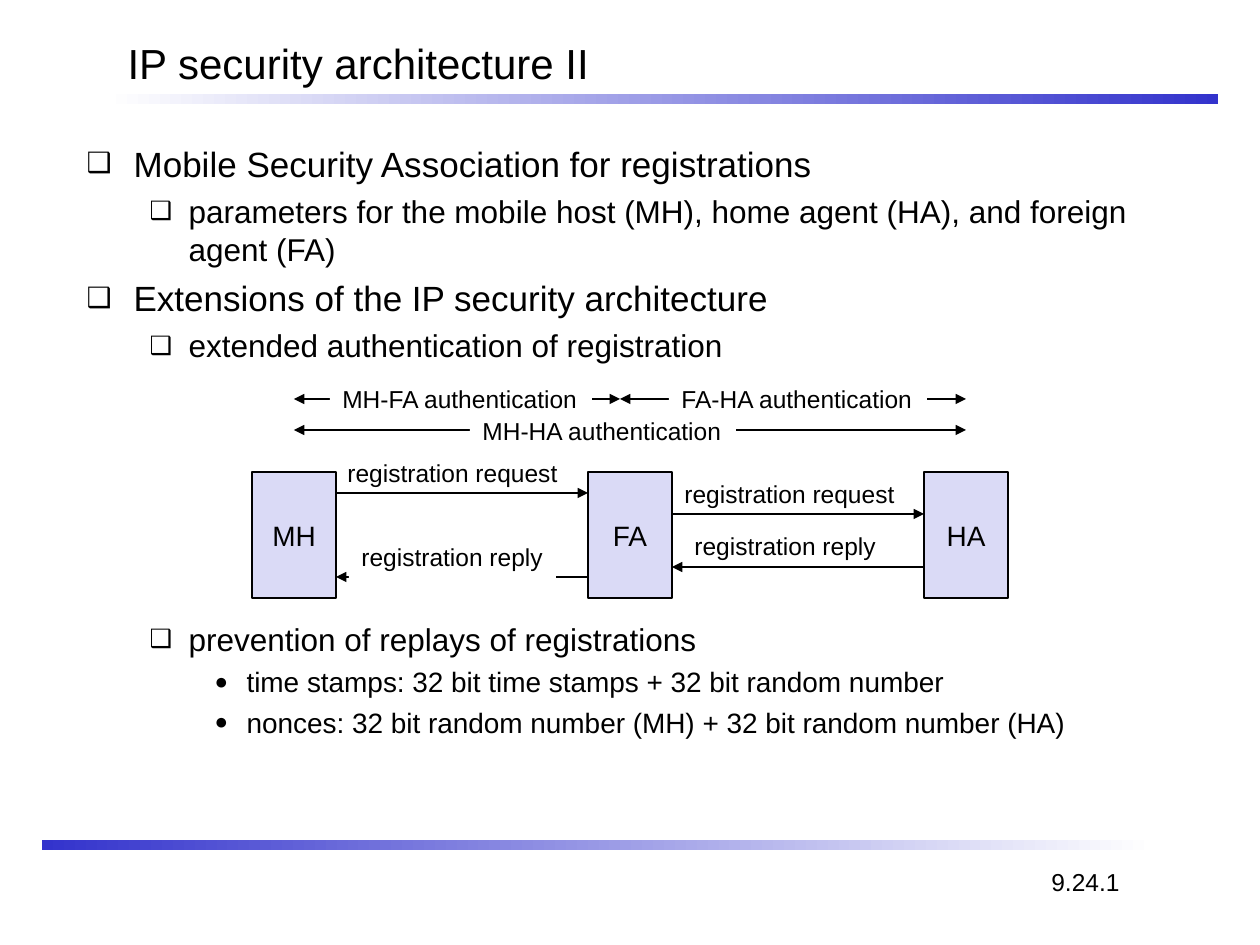
from lxml import etree
from pptx import Presentation
from pptx.dml.color import RGBColor
from pptx.enum.shapes import MSO_CONNECTOR, MSO_SHAPE
from pptx.enum.text import MSO_ANCHOR, MSO_AUTO_SIZE, PP_ALIGN
from pptx.oxml.ns import qn
from pptx.util import Pt

RECT = MSO_SHAPE.RECTANGLE
STRAIGHT = MSO_CONNECTOR.STRAIGHT
MIDDLE = MSO_ANCHOR.MIDDLE
TOP = MSO_ANCHOR.TOP
LEFT = PP_ALIGN.LEFT
CENTER = PP_ALIGN.CENTER
GROW = MSO_AUTO_SIZE.SHAPE_TO_FIT_TEXT
FIXED = MSO_AUTO_SIZE.NONE

SCALE = 914400 / 126
BLACK, WHITE, BLUE, PALE = "000000", "FFFFFF", "3333CC", "DADAF6"

LEVELS = [(47, 47, "❑", 20, 5), (102, 39, "❑", 18, 4.5), (160, 32, "●", 16, 4)]
ITEMS = [
    (0, "Mobile Security Association for registrations", None),
    (1, "parameters for the mobile host (MH), home agent (HA), and foreign agent (FA)", None),
    (0, "Extensions of the IP security architecture", None),
    (1, "extended authentication of registration", None),
    (1, "prevention of replays of registrations", 146),
    (2, "time stamps: 32 bit time stamps + 32 bit random number", None),
    (2, "nonces: 32 bit random number (MH) + 32 bit random number (HA)", None),
]
HOPS = [
    (682, 525, 207, "registration reply"),
    (672, 473, 236, "registration request"),
    (335, 452, 236, "registration request"),
    (349, 536, 207, "registration reply"),
]
SPANS = [
    (470, 410, 266, "MH-HA authentication"),
    (330, 378, 262, "MH-FA authentication"),
    (669, 378, 258, "FA-HA authentication"),
]


def px(num):
    return round(num * SCALE)


def color(text):
    return RGBColor.from_string(text)


def place(shape, x, y, w, h):
    shape.left, shape.top, shape.width, shape.height = px(x), px(y), px(w), px(h)


def style(para, size):
    for run in para.runs:
        run.font.name = "Arial"
        run.font.size = Pt(size)
        run.font.color.rgb = color(BLACK)


def add_form(slide, x, y, w, h, fill=None):
    form = slide.shapes.add_shape(RECT, px(x), px(y), px(w), px(h))
    form.shadow.inherit = False
    form.line.fill.background()
    if fill:
        form.fill.solid()
        form.fill.fore_color.rgb = color(fill)
    return form


def add_bar(slide, x, y, start, end):
    bar = add_form(slide, x, y, 1113, 10)
    bar.fill.gradient()
    bar.fill.gradient_angle = 0
    for stop, tint in zip(bar.fill.gradient_stops, (start, end)):
        stop.color.rgb = color(tint)


def set_text(shape, text, size, align, anchor):
    frame = shape.text_frame
    frame.text = text
    frame.word_wrap = False
    frame.vertical_anchor = anchor
    frame.paragraphs[0].alignment = align
    style(frame.paragraphs[0], size)


def add_label(slide, x, y, w, text):
    label = add_form(slide, x, y, w, 42, WHITE)
    set_text(label, text, 14, LEFT, TOP)
    label.text_frame.auto_size = GROW


def add_node(slide, x, text):
    node = add_form(slide, x, 472, 84, 126, PALE)
    node.line.color.rgb = color(BLACK)
    node.line.width = Pt(0.75)
    set_text(node, text, 16, CENTER, MIDDLE)


def add_arrow(slide, start, end, y, both=False):
    arrow = slide.shapes.add_connector(STRAIGHT, px(start), px(y), px(end), px(y))
    arrow.line.color.rgb = color(BLACK)
    arrow.line.width = Pt(0.75)
    line = arrow.line._get_or_add_ln()
    for tag in ("a:headEnd", "a:tailEnd") if both else ("a:tailEnd",):
        etree.SubElement(line, qn(tag), type="triangle")
    etree.SubElement(arrow._element.spPr, qn("a:effectLst"))


def add_bullet(para, margin, hang, char):
    props = para._p.get_or_add_pPr()
    props.set("marL", str(px(margin)))
    props.set("indent", str(-px(hang)))
    tint = etree.SubElement(props, qn("a:buClr"))
    etree.SubElement(tint, qn("a:srgbClr"), val=BLACK)
    etree.SubElement(props, qn("a:buSzPct"), val="80000")
    etree.SubElement(props, qn("a:buChar"), char=char)


def fill_title(slide):
    title = slide.shapes.title
    place(title, 115, 31, 1071, 63)
    set_text(title, "IP security architecture II", 24, LEFT, MIDDLE)
    title.text_frame.auto_size = FIXED


def fill_body(slide):
    body = slide.placeholders[1]
    place(body, 74, 136, 1071, 703)
    frame = body.text_frame
    frame.auto_size = FIXED
    for num, (level, text, gap) in enumerate(ITEMS):
        para = frame.add_paragraph() if num else frame.paragraphs[0]
        margin, hang, char, size, space = LEVELS[level]
        para.text = text
        para.level = level
        add_bullet(para, margin, hang, char)
        para.space_before = Pt((gap or space) if num else 0)
        style(para, size)


def add_page(slide):
    page = slide.shapes.add_textbox(px(1039), px(861), px(100), px(42))
    set_text(page, "9.24.1", 14, LEFT, TOP)
    page.text_frame.auto_size = FIXED


def main():
    deck = Presentation()
    deck.slide_width, deck.slide_height = px(1260), px(945)
    slide = deck.slides.add_slide(deck.slide_layouts[1])
    add_bar(slide, 105, 94, WHITE, BLUE)
    add_bar(slide, 42, 840, BLUE, WHITE)
    fill_title(slide)
    fill_body(slide)
    for hop in HOPS[:3]:
        add_label(slide, *hop)
    for num, name in enumerate(("MH", "FA", "HA")):
        add_node(slide, 252 + 336 * num, name)
    for start, end, y in ((336, 588, 493), (588, 336, 577), (924, 672, 567), (672, 924, 514)):
        add_arrow(slide, start, end, y)
    for start, end, y in ((294, 966, 430), (294, 620, 399), (620, 966, 399)):
        add_arrow(slide, start, end, y, True)
    for label in HOPS[3:] + SPANS:
        add_label(slide, *label)
    add_page(slide)
    deck.save("out.pptx")


if __name__ == "__main__":
    main()
